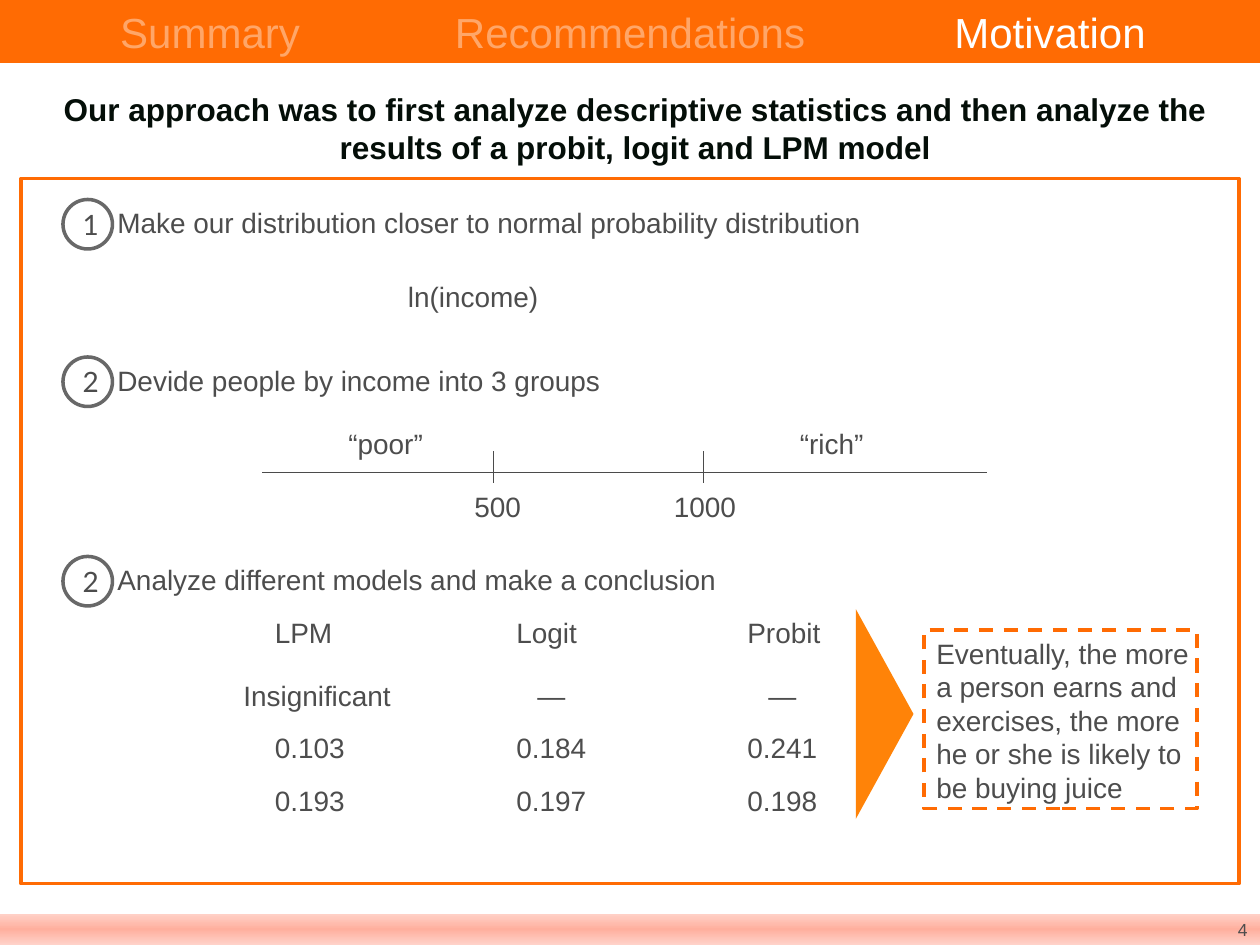
from copy import deepcopy

from pptx import Presentation
from pptx.dml.color import RGBColor
from pptx.enum.dml import MSO_LINE
from pptx.enum.shapes import MSO_CONNECTOR, MSO_SHAPE
from pptx.enum.text import MSO_ANCHOR, MSO_AUTO_SIZE, PP_ALIGN
from pptx.oxml.ns import qn
from pptx.oxml.xmlchemy import OxmlElement
from pptx.util import Pt

RECT, CIRCLE = MSO_SHAPE.RECTANGLE, MSO_SHAPE.FLOWCHART_CONNECTOR
TRIANGLE = MSO_SHAPE.ISOSCELES_TRIANGLE
LEFT, CENTER, RIGHT = PP_ALIGN.LEFT, PP_ALIGN.CENTER, PP_ALIGN.RIGHT
ORANGE, GRAY, WHITE = "FF6B03", "4D4D4D", "FFFFFF"
WIDTH, HEIGHT = 720, 540
LABEL_H = 26.6

TABS = [("Summary", "FFA668"), ("Recommendations", "FFA668"), ("Motivation", WHITE)]
TITLE = ("Our approach was to first analyze descriptive statistics and then "
         "analyze the results of a probit, logit and LPM model")
STEPS = [
    ("1", "Make our distribution closer to normal probability distribution", 114, 445),
    ("2", "Devide people by income into 3 groups", 204, 294),
    ("2", "Analyze different models and make a conclusion", 318, 361),
]
GROUPS = [("“poor”", 192, 240, 58.3), ("“rich”", 450, 240, 51.8),
          ("500", 264, 276, 41.8), ("1000", 378, 276, 50.4)]
AXIS_Y, AXIS_ENDS, TICKS = 270, (150, 564), (282, 402)
MODEL_X = [150, 288, 420]
MODEL_ROWS = [
    (348, [("LPM", 0, 47.5), ("Logit", 0, 49.7), ("Probit", 0, 56.9)]),
    (384, [("Insignificant", -18, 98.6), ("—", 12, 31), ("—", 12, 31)]),
    (414, [(v, 0, 54.7) for v in ("0.103", "0.184", "0.241")]),
    (444, [(v, 0, 54.7) for v in ("0.193", "0.197", "0.198")]),
]
CONCLUSION = ("Eventually, the more a person earns and exercises, "
              "the more he or she is likely to be buying juice")


def rgb(color):
    return RGBColor.from_string(color)


def write(sp, text, size=16, color=GRAY, align=LEFT, font="Arial", bold=False, wrap=False):
    tf = sp.text_frame
    tf.word_wrap = wrap
    p = tf.paragraphs[0]
    p.text = text
    p.alignment = align
    p.font.size, p.font.name, p.font.bold = Pt(size), font, bold
    p.font.color.rgb = rgb(color)


def add_label(s, text, x, y, w, h=LABEL_H, **style):
    sp = s.shapes.add_textbox(Pt(x), Pt(y), Pt(w), Pt(h))
    write(sp, text, **style)
    sp.text_frame.auto_size = MSO_AUTO_SIZE.SHAPE_TO_FIT_TEXT


def add_shape(s, kind, x, y, w, h, fill=None, line=None):
    sp = s.shapes.add_shape(kind, Pt(x), Pt(y), Pt(w), Pt(h))
    sp.shadow.inherit = False
    sp.text_frame.vertical_anchor = MSO_ANCHOR.MIDDLE
    if fill:
        sp.fill.solid()
        sp.fill.fore_color.rgb = rgb(fill)
    else:
        sp.fill.background()
    if line:
        sp.line.color.rgb = rgb(line)
        sp.line.width = Pt(2)
    else:
        sp.line.fill.background()
    return sp


def add_line(s, x1, y1, x2, y2):
    ln = s.shapes.add_connector(MSO_CONNECTOR.STRAIGHT, Pt(x1), Pt(y1), Pt(x2), Pt(y2))
    ln.line.color.rgb = rgb("4B4B4B")
    ln.line.width = Pt(0.75)
    ln._element.spPr.append(OxmlElement("a:effectLst"))


def add_footer(s):
    sp = add_shape(s, RECT, 0, HEIGHT - 18, WIDTH, 18)
    sp.fill.gradient()
    sp.fill.gradient_angle = 90
    stops = sp._element.spPr.find(qn("a:gradFill")).find(qn("a:gsLst"))
    stops.insert(1, deepcopy(stops[0]))
    for stop, color, pos in zip(sp.fill.gradient_stops,
                                ("FFD2C9", "FFAF9E", "FFD2C9"), (0, 0.5, 1)):
        stop.color.rgb = rgb(color)
        stop.position = pos
    write(sp, "4", size=10, align=RIGHT)


def main():
    prs = Presentation()
    prs.slide_width, prs.slide_height = Pt(WIDTH), Pt(HEIGHT)
    s = prs.slides.add_slide(prs.slide_layouts[6])

    tab_w = WIDTH / len(TABS)
    for i, (name, color) in enumerate(TABS):
        tab = add_shape(s, RECT, i * tab_w, 0, tab_w, 36, fill=ORANGE)
        write(tab, name, size=24, color=color, align=CENTER)
    add_footer(s)
    add_label(s, TITLE, 12, 48, 702, 51, size=18, color="040E08",
              align=CENTER, bold=True, wrap=True)

    for number, text, y, w in STEPS:
        circle = add_shape(s, CIRCLE, 36, y, 28.3, 28.3, line="686868")
        write(circle, number, align=CENTER, font="Lato", wrap=True)
        add_label(s, text, 60, y, w)
    add_label(s, "ln(income)", 226, 156, 122.4, wrap=True)

    add_line(s, AXIS_ENDS[0], AXIS_Y, AXIS_ENDS[1], AXIS_Y)
    for x in TICKS:
        add_line(s, x, AXIS_Y - 12, x, AXIS_Y + 6)
    for text, x, y, w in GROUPS:
        add_label(s, text, x, y, w)

    for y, cells in MODEL_ROWS:
        for x, (text, shift, w) in zip(MODEL_X, cells):
            add_label(s, text, x + shift, y, w)

    arrow = add_shape(s, TRIANGLE, 445.5, 391.5, 120, 33, fill="FF8308")
    arrow.rotation = 90
    add_label(s, CONCLUSION, 528, 360, 168, 104.4, wrap=True)
    add_shape(s, RECT, 12, 102, 696, 403, line=ORANGE)
    box = add_shape(s, RECT, 528, 360, 156, 102, line=ORANGE)
    box.line.dash_style = MSO_LINE.DASH

    prs.save("out.pptx")


if __name__ == "__main__":
    main()
